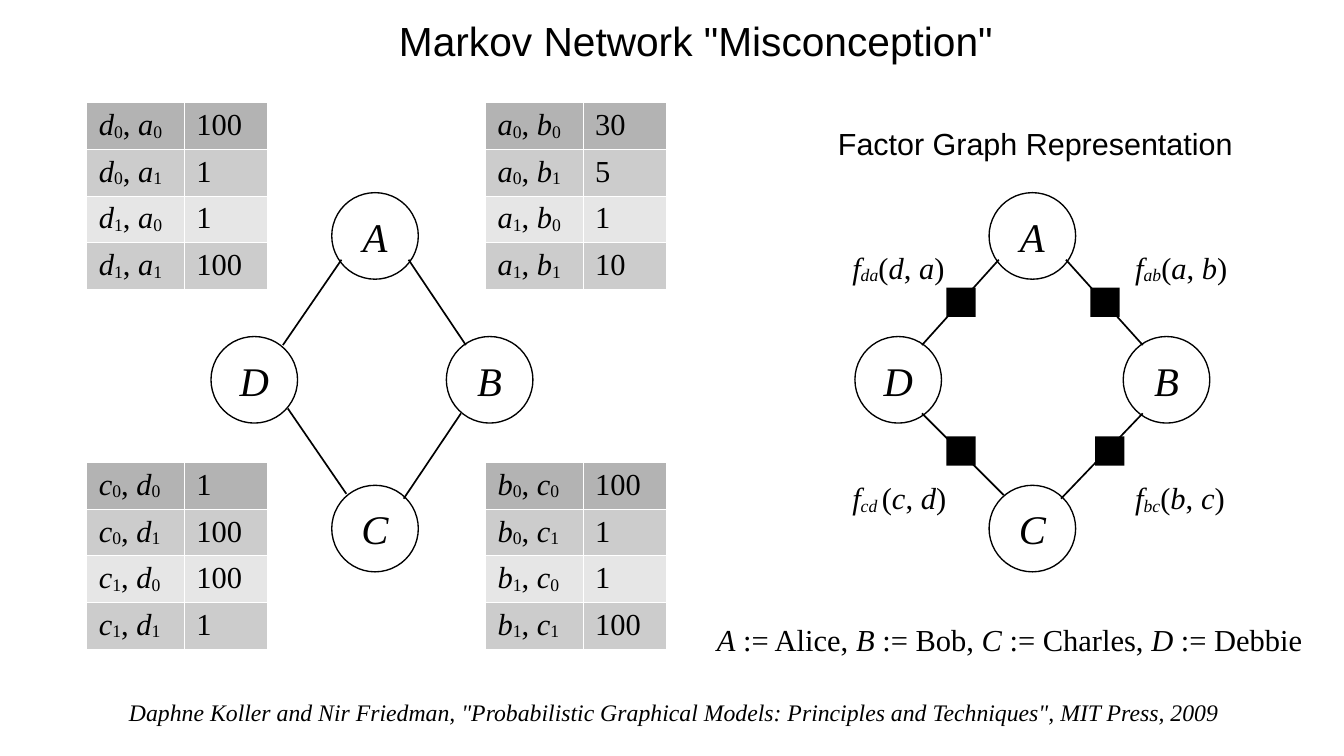
"""Build the slide on the Markov network "Misconception" and its factor graph."""
from dataclasses import dataclass

from lxml.etree import SubElement
from pptx import Presentation
from pptx.dml.color import RGBColor
from pptx.enum.shapes import MSO_CONNECTOR as Connector, MSO_SHAPE as Shape
from pptx.enum.text import MSO_ANCHOR as Anchor, MSO_AUTO_SIZE as AutoSize, PP_ALIGN as Align
from pptx.oxml.ns import qn
from pptx.util import Inches, Pt


@dataclass(frozen=True)
class Theme:
    """Colours, fonts and point sizes of the slide."""
    ink: RGBColor = RGBColor(0, 0, 0)
    border: str = "FFFFFF"
    row_fills: tuple = ("B3B3B3", "CCCCCC", "E6E6E6", "CCCCCC")
    sans: str = "Arial"
    serif: str = "Times New Roman"
    large: int = 24
    body: int = 18
    small: int = 14
    outline: float = 0.79
    edge: float = 1


THEME = Theme()
NODE_SIZE = 0.71
FACTOR_SIZE = 0.24
TOP, MIDDLE, BOTTOM = 1.58, 2.76, 3.98
PAIRS = ((0, 0), (0, 1), (1, 0), (1, 1))

POTENTIALS = (
    (0.71, 0.84, "da", (100, 1, 1, 100)),
    (3.98, 0.84, "ab", (30, 5, 1, 10)),
    (0.71, 3.79, "cd", (1, 100, 100, 1)),
    (3.98, 3.79, "bc", (100, 1, 1, 100)),
)
MARKOV_NODES = {"A": (2.72, TOP), "B": (3.66, MIDDLE), "C": (2.72, BOTTOM), "D": (1.73, MIDDLE)}
MARKOV_EDGES = (
    (2.8, 2.13, 2.32, 2.83),
    (3.35, 2.13, 3.82, 2.83),
    (3.78, 3.39, 3.31, 4.09),
    (2.36, 3.35, 2.84, 4.05),
)
FACTOR_NODES = {"A": (8.11, TOP), "B": (9.21, MIDDLE), "C": (8.11, BOTTOM), "D": (7.01, MIDDLE)}
FACTOR_EDGES = (
    (8.19, 2.13, 7.56, 2.83),
    (8.74, 2.13, 9.37, 2.83),
    (9.37, 3.39, 8.7, 4.09),
    (7.56, 3.39, 8.23, 4.06),
)
FACTORS = ((7.76, 2.36), (8.94, 2.36), (7.76, 3.58), (8.98, 3.58))
FACTOR_LABELS = (
    (6.89, 1.99, 0.96, "*f_da_*(*d*, *a*)"),
    (9.21, 1.99, 0.96, "*f_ab_*(*a*, *b*)"),
    (6.89, 3.88, 0.97, "*f_cd _*(*c*, *d*)"),
    (9.21, 3.88, 0.94, "*f_bc_*(*b*, *c*)"),
)


def write_text(frame, text, font=THEME.serif, size=THEME.body, align=Align.LEFT):
    """Write one paragraph, where *...* is italic and _..._ is subscript."""
    paragraph = frame.paragraphs[0]
    paragraph.alignment = align
    for style_index, styled in enumerate(text.split("*")):
        for level_index, piece in enumerate(styled.split("_")):
            if not piece:
                continue
            run = paragraph.add_run()
            run.text = piece
            run.font.name = font
            run.font.size = Pt(size)
            run.font.color.rgb = THEME.ink
            run.font.italic = style_index % 2 == 1
            if level_index % 2:
                run.font._element.set("baseline", "-8000")


def add_text(slide, left, top, width, height, text, wrap=False, **text_format):
    """Add a text box that holds one formatted paragraph."""
    box = slide.shapes.add_textbox(Inches(left), Inches(top), Inches(width), Inches(height))
    frame = box.text_frame
    frame.word_wrap = wrap
    frame.auto_size = AutoSize.SHAPE_TO_FIT_TEXT
    write_text(frame, text, **text_format)
    return frame


def add_title(slide, text):
    """Add the title, centred in a box without margins."""
    frame = add_text(slide, 2.36, 0.08, 6.69, 0.5, text, wrap=True,
                     font=THEME.sans, size=THEME.large, align=Align.CENTER)
    frame.auto_size = AutoSize.NONE
    frame.vertical_anchor = Anchor.MIDDLE
    frame.margin_left = frame.margin_right = frame.margin_top = frame.margin_bottom = 0


def add_node(slide, name, left, top):
    """Add a circle for one random variable."""
    node = slide.shapes.add_shape(Shape.OVAL, Inches(left), Inches(top),
                                  Inches(NODE_SIZE), Inches(NODE_SIZE))
    node.shadow.inherit = False
    node.fill.background()
    node.line.color.rgb = THEME.ink
    node.line.width = Pt(THEME.outline)
    node.text_frame.word_wrap = False
    node.text_frame.vertical_anchor = Anchor.MIDDLE
    write_text(node.text_frame, f"*{name}*", size=THEME.large, align=Align.CENTER)


def add_edge(slide, *ends):
    """Add a straight line between two points."""
    edge = slide.shapes.add_connector(Connector.STRAIGHT, *map(Inches, ends))
    edge.line.color.rgb = THEME.ink
    edge.line.width = Pt(THEME.edge)
    SubElement(edge._element.spPr, qn("a:effectLst"))


def add_graph(slide, nodes, edges):
    """Add the nodes of a graph and the lines between them."""
    for name, (left, top) in nodes.items():
        add_node(slide, name, left, top)
    for ends in edges:
        add_edge(slide, *ends)


def add_factor(slide, left, top):
    """Add a solid square for one factor."""
    square = slide.shapes.add_shape(Shape.RECTANGLE, Inches(left), Inches(top),
                                    Inches(FACTOR_SIZE), Inches(FACTOR_SIZE))
    square.shadow.inherit = False
    square.fill.solid()
    square.fill.fore_color.rgb = THEME.ink
    square.line.fill.background()


def format_cell(cell, text, fill):
    """Give a table cell its hairline borders, fill and text."""
    properties = cell._tc.get_or_add_tcPr()
    for side in ("lnL", "lnR", "lnT", "lnB"):
        line = SubElement(properties, qn(f"a:{side}"), w=str(Pt(0.06)))
        solid = SubElement(line, qn("a:solidFill"))
        SubElement(solid, qn("a:srgbClr"), val=THEME.border)
    cell.fill.solid()
    cell.fill.fore_color.rgb = RGBColor.from_string(fill)
    write_text(cell.text_frame, text)


def add_potential(slide, left, top, variables, values):
    """Add the table of one pairwise potential."""
    first, second = variables
    frame = slide.shapes.add_table(len(values), 2, Inches(left), Inches(top),
                                   Inches(1.48), Inches(1.53))
    table = frame.table
    table.first_row = table.horz_banding = False
    for column, width in zip(table.columns, (0.8, 0.68)):
        column.width = Inches(width)
    for row, (i, j), value, fill in zip(table.rows, PAIRS, values, THEME.row_fills):
        texts = (f"*{first}*_{i}_, *{second}*_{j}_", str(value))
        for cell, text in zip(row.cells, texts):
            format_cell(cell, text, fill)


def main():
    """Build the slide and save it."""
    presentation = Presentation()
    presentation.slide_width = Inches(11.02)
    presentation.slide_height = Inches(6.2)
    slide = presentation.slides.add_slide(presentation.slide_layouts[6])

    add_title(slide, 'Markov Network "Misconception"')
    add_graph(slide, MARKOV_NODES, MARKOV_EDGES)
    for potential in POTENTIALS:
        add_potential(slide, *potential)

    add_text(slide, 6.77, 0.98, 3.44, 0.38, "Factor Graph Representation",
             font=THEME.sans, align=Align.CENTER)
    add_graph(slide, FACTOR_NODES, FACTOR_EDGES)
    for left, top in FACTORS:
        add_factor(slide, left, top)
    for left, top, width, label in FACTOR_LABELS:
        add_text(slide, left, top, width, 0.38, label)

    add_text(slide, 5.78, 5.04, 5.09, 0.39,
             "*A* := Alice, *B* := Bob, *C* := Charles, *D* := Debbie", wrap=True)
    add_text(slide, 0.94, 5.67, 9.18, 0.37,
             '*Daphne Koller and Nir Friedman, "Probabilistic Graphical Models: '
             'Principles and Techniques", MIT Press, 2009*',
             size=THEME.small, align=Align.CENTER)
    presentation.save("out.pptx")


if __name__ == "__main__":
    main()
